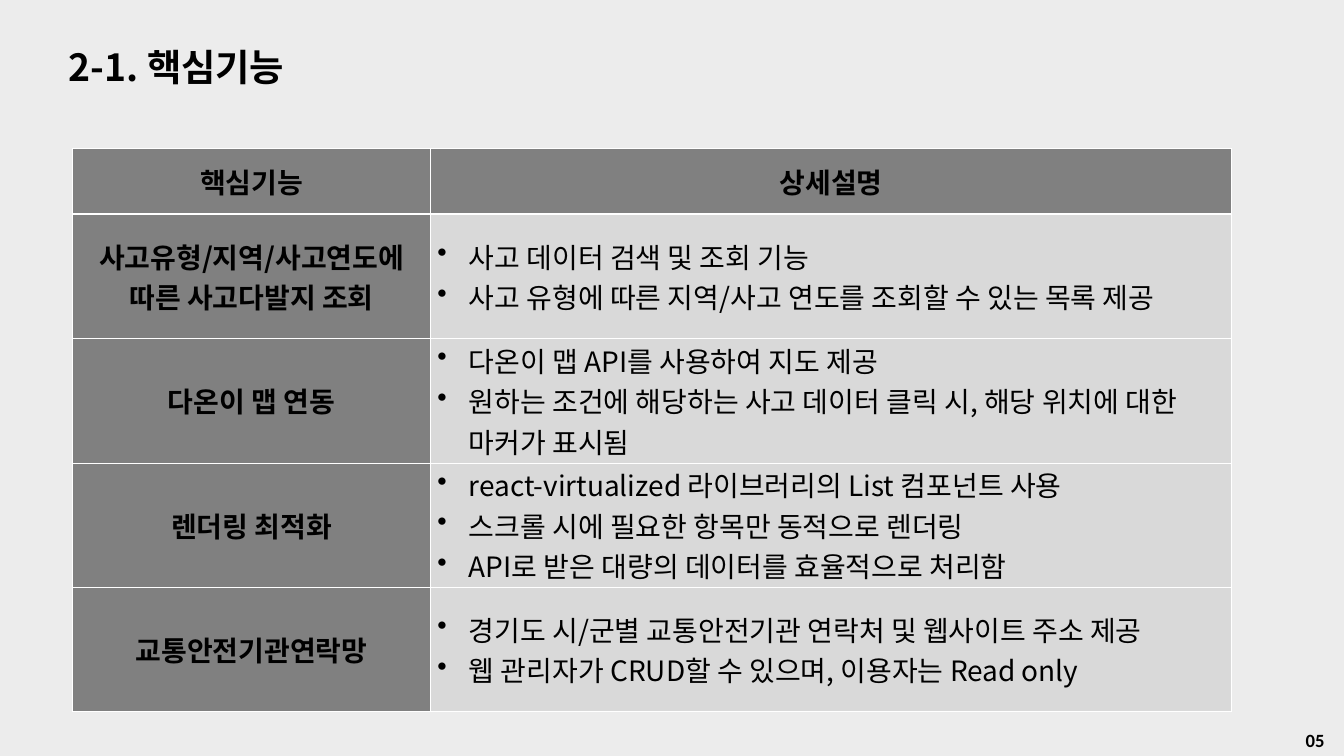
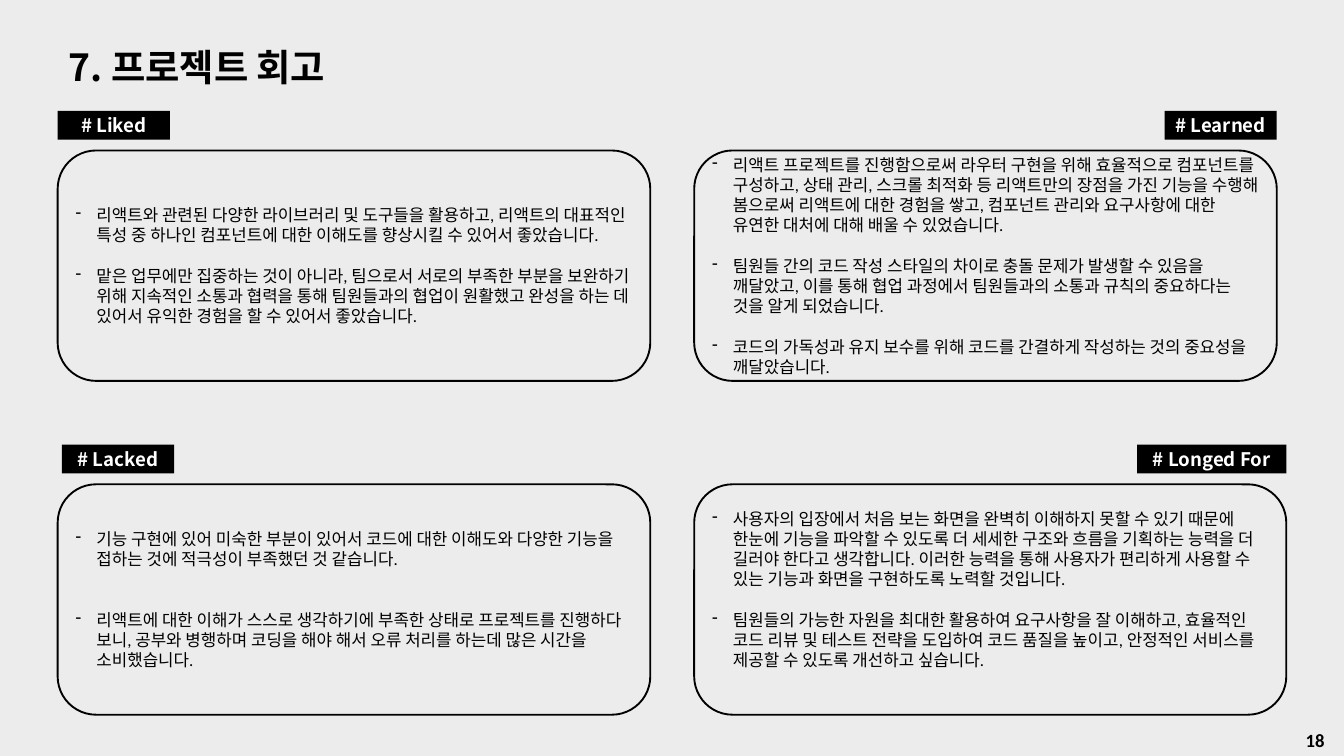
import pptx
import pptx.util
import pptx.dml.color
import pptx.enum.shapes
import pptx.enum.text
import pptx.oxml
import pptx.oxml.ns
from lxml import etree

Cm, Pt = pptx.util.Cm, pptx.util.Pt
ALIGN = pptx.enum.text.PP_ALIGN
ANCHOR = pptx.enum.text.MSO_ANCHOR
SHAPE = pptx.enum.shapes.MSO_SHAPE

# Shared look
COLORS = {"page": "ECECEC", "ink": "000000", "paper": "FFFFFF",
          "label": "808080", "detail": "D9D9D9"}
SANS, PLAIN = "Noto Sans CJK KR", "Calibri"

# Content: key features
FEATURE_TITLE = [("2-1. 핵심기능", SANS)]
FEATURE_HEAD = ("핵심기능", "상세설명")
FEATURES = [
    ("사고유형/지역/사고연도에 따른 사고다발지 조회",
     ["사고 데이터 검색 및 조회 기능",
      "사고 유형에 따른 지역/사고 연도를 조회할 수 있는 목록 제공"]),
    ("다온이 맵 연동",
     ["다온이 맵 API를 사용하여 지도 제공",
      "원하는 조건에 해당하는 사고 데이터 클릭 시, 해당 위치에 대한 마커가 표시됨"]),
    ("렌더링 최적화",
     ["react-virtualized 라이브러리의 List 컴포넌트 사용",
      "스크롤 시에 필요한 항목만 동적으로 렌더링",
      "API로 받은 대량의 데이터를 효율적으로 처리함"]),
    ("교통안전기관연락망",
     ["경기도 시/군별 교통안전기관 연락처 및 웹사이트 주소 제공",
      "웹 관리자가 CRUD할 수 있으며, 이용자는 Read only"]),
]

# Content: retrospective
REVIEW_TITLE = [("7. ", SANS), ("프로젝트 회고", PLAIN)]
REVIEWS = [
    {"tag": "# Liked", "column": 0, "row": 0, "width": 22.4, "notes": [
        "리액트와 관련된 다양한 라이브러리 및 도구들을 활용하고, 리액트의 대표적인 특성 중 하나인 "
        "컴포넌트에 대한 이해도를 향상시킬 수 있어서 좋았습니다.",
        "맡은 업무에만 집중하는 것이 아니라, 팀으로서 서로의 부족한 부분을 보완하기 위해 지속적인 "
        "소통과 협력을 통해 팀원들과의 협업이 원활했고 완성을 하는 데 있어서 유익한 경험을 할 수 "
        "있어서 좋았습니다."]},
    {"tag": "# Lacked", "column": 0, "row": 1, "width": 22.4, "tag_shift": 0.16,
     "gap_lines": 2, "notes": [
        "기능 구현에 있어 미숙한 부분이 있어서 코드에 대한 이해도와 다양한 기능을 접하는 것에 "
        "적극성이 부족했던 것 같습니다.",
        "리액트에 대한 이해가 스스로 생각하기에 부족한 상태로 프로젝트를 진행하다 보니, 공부와 "
        "병행하며 코딩을 해야 해서 오류 처리를 하는데 많은 시간을 소비했습니다."]},
    {"tag": "# Learned", "column": 1, "row": 0, "width": 22.02, "notes": [
        "리액트 프로젝트를 진행함으로써 라우터 구현을 위해 효율적으로 컴포넌트를 구성하고, 상태 관리, "
        "스크롤 최적화 등 리액트만의 장점을 가진 기능을 수행해 봄으로써 리액트에 대한 경험을 쌓고, "
        "컴포넌트 관리와 요구사항에 대한 유연한 대처에 대해 배울 수 있었습니다.",
        "팀원들 간의 코드 작성 스타일의 차이로 충돌 문제가 발생할 수 있음을 깨달았고, 이를 통해 협업 "
        "과정에서 팀원들과의 소통과 규칙의 중요하다는 것을 알게 되었습니다.",
        "코드의 가독성과 유지 보수를 위해 코드를 간결하게 작성하는 것의 중요성을 깨달았습니다."]},
    {"tag": "# Longed For", "column": 1, "row": 1, "width": 22.38, "tag_width": 5.64,
     "bottom_lines": 1, "notes": [
        "사용자의 입장에서 처음 보는 화면을 완벽히 이해하지 못할 수 있기 때문에 한눈에 기능을 파악할 "
        "수 있도록 더 세세한 구조와 흐름을 기획하는 능력을 더 길러야 한다고 생각합니다. 이러한 능력을 "
        "통해 사용자가 편리하게 사용할 수 있는 기능과 화면을 구현하도록 노력할 것입니다.",
        "팀원들의 가능한 자원을 최대한 활용하여 요구사항을 잘 이해하고, 효율적인 코드 리뷰 및 테스트 "
        "전략을 도입하여 코드 품질을 높이고, 안정적인 서비스를 제공할 수 있도록 개선하고 싶습니다."]},
]

# Layout in centimetres
TABLE_AT = (2.74, 5.61)
COLUMN_WIDTHS = (13.54, 30.28)
ROW_HEIGHTS = [2.49] + [4.7] * len(FEATURES)
BOX_LEFTS, BOX_TOPS, BOX_HEIGHT = (2.18, 26.24), (5.69, 18.31), 8.71
TAG_WIDTH, TAG_HEIGHT, TAG_RISE = 4.24, 1.09, 1.5
NOTE_LINE = 22  # points


def rgb(name):
    return pptx.dml.color.RGBColor.from_string(COLORS[name])


def fill(target, name):
    target.fill.solid()
    target.fill.fore_color.rgb = rgb(name)


def write(paragraph, text, size, font, bold=False, color="ink", align=ALIGN.LEFT):
    paragraph.alignment = align
    run = paragraph.add_run()
    run.text = text
    run.font.size, run.font.bold, run.font.name = Pt(size), bold, font
    run.font.color.rgb = rgb(color)
    east_asian = etree.SubElement(run.font._element, pptx.oxml.ns.qn("a:ea"))
    east_asian.set("typeface", font)


def write_list(frame, items, mark, indent, size, font, gap=0):
    for index, item in enumerate(items):
        paragraph = frame.add_paragraph() if index else frame.paragraphs[0]
        props = paragraph._p.get_or_add_pPr()
        props.set("marL", str(Cm(indent)))
        props.set("indent", str(-Cm(indent)))
        bullet = etree.SubElement(props, pptx.oxml.ns.qn("a:buChar"))
        bullet.set("char", mark)
        if index and gap:
            paragraph.space_before = Pt(gap)
        write(paragraph, item, size, font)


def add_page(prs, title_runs, number):
    slide = prs.slides.add_slide(prs.slide_layouts[5])
    title = slide.shapes.title
    title.left, title.top, title.width, title.height = map(Cm, (2.34, 1.57, 19.89, 1.93))
    title.text_frame.auto_size = pptx.enum.text.MSO_AUTO_SIZE.NONE
    title.text_frame.vertical_anchor = ANCHOR.MIDDLE
    for text, font in title_runs:
        write(title.text_frame.paragraphs[0], text, 40, font, bold=True)
    page_number = slide.shapes.add_textbox(*map(Cm, (49.1, 27.41, 1.7, 1.09)))
    page_number.text_frame.word_wrap = True
    write(page_number.text_frame.paragraphs[0], number, 20, PLAIN, bold=True)
    return slide


def set_borders(cell, row):
    widths = {"L": 1, "R": 1, "T": 3 if row == 1 else 1, "B": 3 if row == 0 else 1}
    for side, width in widths.items():
        cell._tc.get_or_add_tcPr().append(pptx.oxml.parse_xml(
            f'<a:ln{side} {pptx.oxml.ns.nsdecls("a")} w="{Pt(width)}"><a:solidFill>'
            f'<a:srgbClr val="{COLORS["paper"]}"/></a:solidFill></a:ln{side}>'))


def add_features(slide):
    table = slide.shapes.add_table(
        len(ROW_HEIGHTS), len(COLUMN_WIDTHS), *map(Cm, TABLE_AT),
        Cm(sum(COLUMN_WIDTHS)), Cm(sum(ROW_HEIGHTS))).table
    for column, width in zip(table.columns, COLUMN_WIDTHS):
        column.width = Cm(width)
    for row, height in zip(table.rows, ROW_HEIGHTS):
        row.height = Cm(height)
    for row, content in enumerate([FEATURE_HEAD] + FEATURES):
        for column, text in enumerate(content):
            cell = table.cell(row, column)
            cell.vertical_anchor = ANCHOR.MIDDLE
            cell.margin_top = cell.margin_bottom = 0
            is_list = isinstance(text, list)
            set_borders(cell, row)
            fill(cell, "detail" if is_list else "label")
            if is_list:
                write_list(cell.text_frame, text, "•", 1.19, 30, SANS)
            else:
                write(cell.text_frame.paragraphs[0], text, 30, SANS,
                      bold=True, align=ALIGN.CENTER)


def add_panel(slide, kind, place, color):
    panel = slide.shapes.add_shape(kind, *map(Cm, place))
    panel.shadow.inherit = False
    fill(panel, color)
    panel.text_frame.vertical_anchor = ANCHOR.MIDDLE
    return panel


def add_review(slide, review):
    left, top = BOX_LEFTS[review["column"]], BOX_TOPS[review["row"]]
    width = review["width"]
    box = add_panel(slide, SHAPE.ROUNDED_RECTANGLE, (left, top, width, BOX_HEIGHT), "page")
    box.line.color.rgb, box.line.width = rgb("ink"), Pt(2)
    box.text_frame.margin_bottom = Cm(0.13) + Pt(NOTE_LINE * review.get("bottom_lines", 0))
    write_list(box.text_frame, review["notes"], "-", 0.79, 18, PLAIN,
               gap=NOTE_LINE * review.get("gap_lines", 1))

    # Left tags start with the box, right tags end with it
    tag_width = review.get("tag_width", TAG_WIDTH)
    tag_left = left + (width - tag_width if review["column"] else review.get("tag_shift", 0))
    tag = add_panel(slide, SHAPE.RECTANGLE,
                    (tag_left, top - TAG_RISE, tag_width, TAG_HEIGHT), "ink")
    tag.line.fill.background()
    write(tag.text_frame.paragraphs[0], review["tag"], 20, SANS,
          bold=True, color="paper", align=ALIGN.CENTER)


def main():
    prs = pptx.Presentation()
    prs.slide_width, prs.slide_height = Cm(50.8), Cm(28.58)
    fill(prs.slide_master.background, "page")

    add_features(add_page(prs, FEATURE_TITLE, "05"))

    retrospective = add_page(prs, REVIEW_TITLE, "18")
    for review in REVIEWS:
        add_review(retrospective, review)

    prs.save("out.pptx")


if __name__ == "__main__":
    main()
